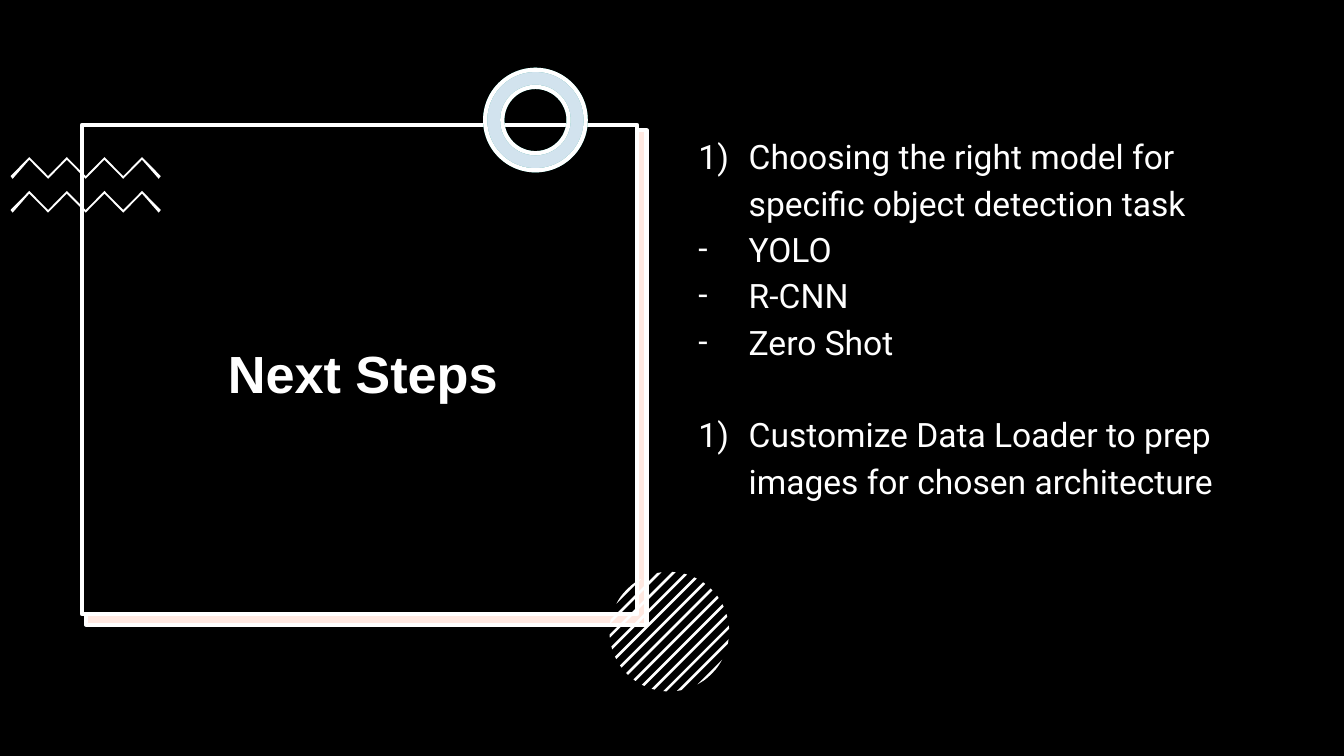
from math import acos, cos, pi, sin

from lxml.etree import SubElement
from pptx import Presentation
from pptx.dml.color import RGBColor
from pptx.enum.shapes import MSO_SHAPE
from pptx.enum.text import MSO_ANCHOR, MSO_AUTO_SIZE, PP_ALIGN
from pptx.oxml.ns import qn
from pptx.util import Cm, Pt

COLORS = {"black": "000000", "white": "FFFFFF", "peach": "FFB8A2",
          "blue": "6AA4C8", "teal": "1A9988"}

TITLE = "Next Steps"
STEPS = [  # bullet, text, space before in points
    ("1)", "Choosing the right model for specific object detection task", 0),
    ("-", "YOLO", 0),
    ("-", "R-CNN", 0),
    ("-", "Zero Shot", 0),
    ("1)", "Customize Data Loader to prep images for chosen architecture", 24.8),
]

WIDTH, HEIGHT = 25.4, 14.29
SHADOW_FRAME = (1.63, 2.46, 10.59, 9.35)
RING = (9.17, 1.32, 1.9, 1.9)
PANELS = [  # preset, box in cm, fill, opacity in percent, line
    (MSO_SHAPE.RECTANGLE, (0, 0, WIDTH, HEIGHT), "black", 100, None),
    (MSO_SHAPE.RECTANGLE, SHADOW_FRAME, "white", 100, None),
    (MSO_SHAPE.RECTANGLE, SHADOW_FRAME, "peach", 30, "white"),
    (MSO_SHAPE.RECTANGLE, (1.55, 2.36, 10.49, 9.25), "black", 100, "white"),
]
RINGS = [
    (MSO_SHAPE.DONUT, RING, "white", 100, "teal"),
    (MSO_SHAPE.DONUT, RING, "blue", 30, "white"),
]
ZIGZAG_TOPS = (2.97, 3.61)
DISC_X, DISC_Y, DISC_RADIUS = 12.65, 11.94, 1.13
STRIPE_PITCH, STRIPE_WIDTH, CAP_WIDTH = 0.92 / 5, 0.05, 0.05


def rgb(name):
    return RGBColor.from_string(COLORS[name])


def paint(shape, fill, opacity=100, line=None):
    shape.shadow.inherit = False
    shape.fill.solid()
    shape.fill.fore_color.rgb = rgb(fill)
    if opacity < 100:
        color = shape.fill._xPr.find(".//" + qn("a:srgbClr"))
        SubElement(color, qn("a:alpha"), val=str(opacity * 1000))
    if line:
        shape.line.color.rgb = rgb(line)
        shape.line.width = Pt(2.25)
    else:
        shape.line.fill.background()


def add_panel(page, preset, box, fill, opacity, line):
    shape = page.shapes.add_shape(preset, *map(Cm, box))
    if preset == MSO_SHAPE.DONUT:
        shape.adjustments[0] = 0.17
    paint(shape, fill, opacity, line)


def add_polygon(group, points):
    outline = [(Cm(x), Cm(y)) for x, y in points]
    builder = group.shapes.build_freeform(*outline[0], scale=1.0)
    builder.add_line_segments(outline[1:], close=True)
    paint(builder.convert_to_shape(), "white")


def zigzag(top, left=0.2, step=0.355, rise=0.36, thickness=0.05):
    upper = [(left + step * i, top + rise * (i % 2 == 0)) for i in range(9)]
    lower = [(x, y + thickness) for x, y in upper]
    lower[0] = (lower[0][0] + 0.04, lower[0][1])
    lower[-1] = (lower[-1][0] - 0.04, lower[-1][1])
    return upper + lower[::-1]


def stripe(start, end, samples=8):
    """Slice of the disc between two signed distances from its rising diagonal."""
    distances = [start + (end - start) * i / samples for i in range(samples + 1)]
    turns = [acos(max(-1, min(1, d / DISC_RADIUS))) for d in distances]
    angles = [pi / 4 + t for t in turns] + [pi / 4 - t for t in reversed(turns)]
    return [(DISC_X + DISC_RADIUS * cos(a), DISC_Y + DISC_RADIUS * sin(a))
            for a in angles]


def place(page, holder, box, anchor):
    holder.left, holder.top, holder.width, holder.height = map(Cm, box)
    page.shapes.element.append(holder.element)  # bring to front
    frame = holder.text_frame
    frame.word_wrap = True
    frame.auto_size = MSO_AUTO_SIZE.NONE
    frame.vertical_anchor = anchor
    frame.margin_left = frame.margin_right = Cm(0.18)
    frame.margin_top = frame.margin_bottom = Cm(0.1)
    return frame


def write(para, text, font, size, bold=False, align=PP_ALIGN.LEFT, spacing=1.0,
          before=0, bullet=None):
    if bullet:
        props = para._p.get_or_add_pPr()
        props.set("marL", str(Cm(1.27)))
        props.set("indent", str(Cm(-0.95)))
        color = SubElement(props, qn("a:buClr"))
        SubElement(color, qn("a:srgbClr"), val=COLORS["white"])
        SubElement(props, qn("a:buFont"), typeface=font)
        if bullet == "1)":
            SubElement(props, qn("a:buAutoNum"), type="arabicParenR")
        else:
            SubElement(props, qn("a:buChar"), char=bullet)
    para.alignment = align
    para.line_spacing = spacing
    para.space_before = Pt(before)
    span = para.add_run()
    span.text = text
    span.font.name = font
    span.font.size = Pt(size)
    span.font.bold = bold
    span.font.color.rgb = rgb("white")


def main():
    deck = Presentation()
    deck.slide_width, deck.slide_height = Cm(WIDTH), Cm(HEIGHT)
    page = deck.slides.add_slide(deck.slide_layouts[1])

    for panel in PANELS:
        add_panel(page, *panel)
    waves = page.shapes.add_group_shape()
    for top in ZIGZAG_TOPS:
        add_polygon(waves, zigzag(top))
    for ring in RINGS:
        add_panel(page, *ring)

    disc = page.shapes.add_group_shape()
    inner = DISC_RADIUS - CAP_WIDTH
    add_polygon(disc, stripe(-DISC_RADIUS, -inner))
    for i in range(-5, 6):
        middle = i * STRIPE_PITCH
        add_polygon(disc, stripe(middle - STRIPE_WIDTH / 2, middle + STRIPE_WIDTH / 2))
    add_polygon(disc, stripe(inner, DISC_RADIUS))

    title = place(page, page.shapes.title, (1.75, 2.9, 10.21, 8.43), MSO_ANCHOR.MIDDLE)
    write(title.paragraphs[0], TITLE, "Arial", 28, bold=True,
          align=PP_ALIGN.CENTER, spacing=0.9)
    body = place(page, page.placeholders[1], (12.7, 2.36, 11.94, 9.07), MSO_ANCHOR.TOP)
    for i, (bullet, text, before) in enumerate(STEPS):
        para = body.add_paragraph() if i else body.paragraphs[0]
        write(para, text, "Roboto", 18, spacing=1.15, before=before, bullet=bullet)
    deck.save("out.pptx")


if __name__ == "__main__":
    main()
